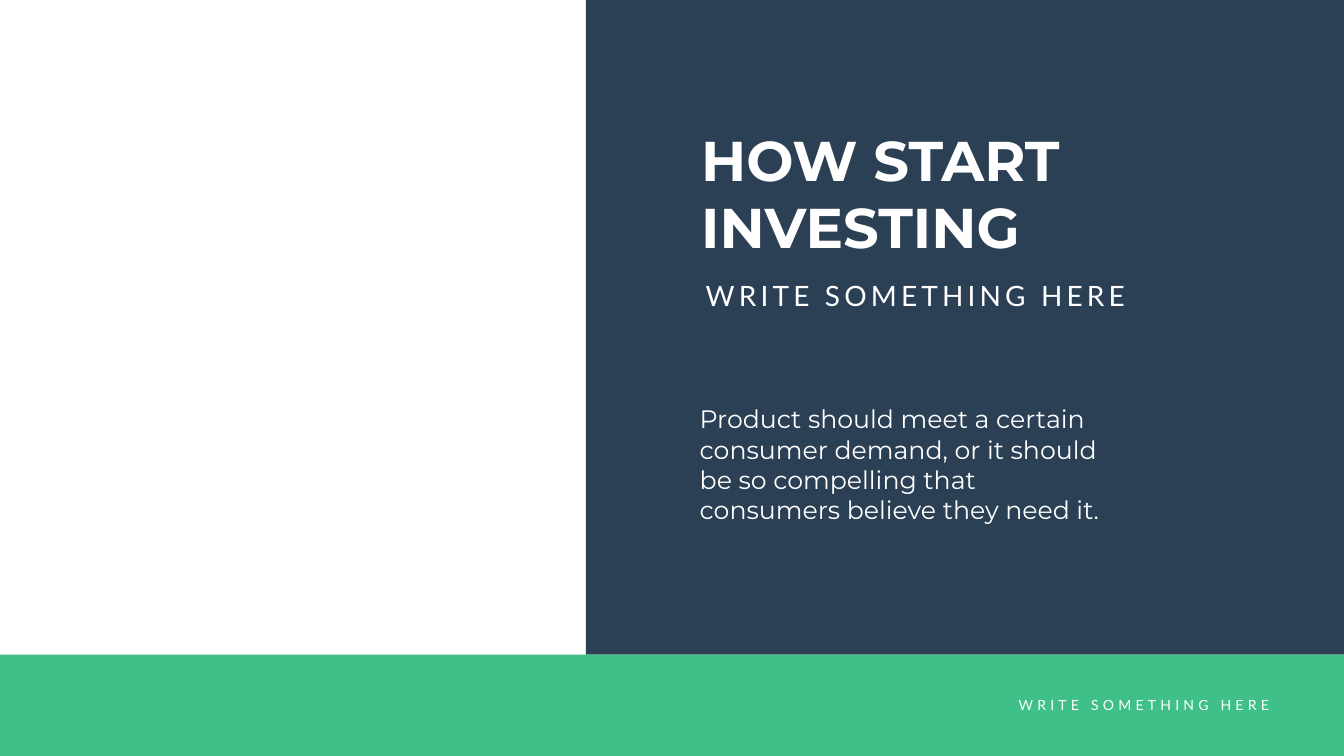
"""Build the investing title slide with a navy panel and a green footer."""
from lxml import etree
from pptx import Presentation
from pptx.dml.color import RGBColor
from pptx.enum.shapes import MSO_SHAPE
from pptx.enum.text import MSO_ANCHOR, MSO_AUTO_SIZE, PP_ALIGN
from pptx.oxml.ns import qn
from pptx.util import Emu, Pt

RECT = MSO_SHAPE.RECTANGLE
TOP = MSO_ANCHOR.TOP
FIXED = MSO_AUTO_SIZE.NONE
LEFT, RIGHT = PP_ALIGN.LEFT, PP_ALIGN.RIGHT
PX = 9144
NAVY, GREEN, WHITE = "2B4054", "3EC088", "FFFFFF"
TAG = "WRITE SOMETHING HERE"


def tint(code):
    return RGBColor.from_string(code)


def write(text, box, at, size, face="Montserrat", bold=False, align=LEFT, gap=0, pad=(10, 5)):
    box.left, box.top, box.width, box.height = [Emu(n * PX) for n in at]
    frame = box.text_frame
    frame.word_wrap = True
    frame.auto_size = FIXED
    frame.vertical_anchor = TOP
    frame.margin_left = frame.margin_right = Emu(pad[0] * PX)
    frame.margin_top = frame.margin_bottom = Emu(pad[1] * PX)
    para = frame.paragraphs[0]
    para.alignment = align
    para.space_before = Pt(0)
    props = para._p.get_or_add_pPr()
    props.set("marL", "0")
    props.set("indent", "0")
    etree.SubElement(props, qn("a:buNone"))
    run = para.add_run()
    run.text = text
    font = run.font
    font.name, font.size, font.bold = face, Pt(size), bold
    font.color.rgb = tint(WHITE)
    if gap:
        run._r.get_or_add_rPr().set("spc", str(gap * 100))


deck = Presentation()
deck.slide_width, deck.slide_height = Emu(2666 * PX), Emu(1500 * PX)
slide = deck.slides.add_slide(deck.slide_layouts[1])
shapes = slide.shapes
title, body = slide.placeholders

for at, color in (
    ((1162, 0, 1504, 1299), NAVY),
    ((0, 1299, 2666, 201), GREEN),
):
    block = shapes.add_shape(RECT, *[Emu(n * PX) for n in at])
    block.shadow.inherit = False
    block.fill.solid()
    block.fill.fore_color.rgb = tint(color)
    block.line.fill.background()

for holder in (title, body):
    shapes.element.append(holder.element)

write("HOW START INVESTING", title, (1381, 244, 1081, 279), 80, bold=True)
write(
    "Product should meet a certain consumer demand, or it should "
    "be so compelling that consumers believe they need it.",
    body, (1364, 789, 868, 266), 36, pad=(24, 12),
)
for at, size, align in (
    ((1390, 547, 939, 77), 40, LEFT),
    ((1588, 1378, 939, 44), 20, RIGHT),
):
    label = shapes.add_textbox(*[Emu(n * PX) for n in at])
    write(TAG, label, at, size, face="Lato", align=align, gap=6)

deck.save("out.pptx")
